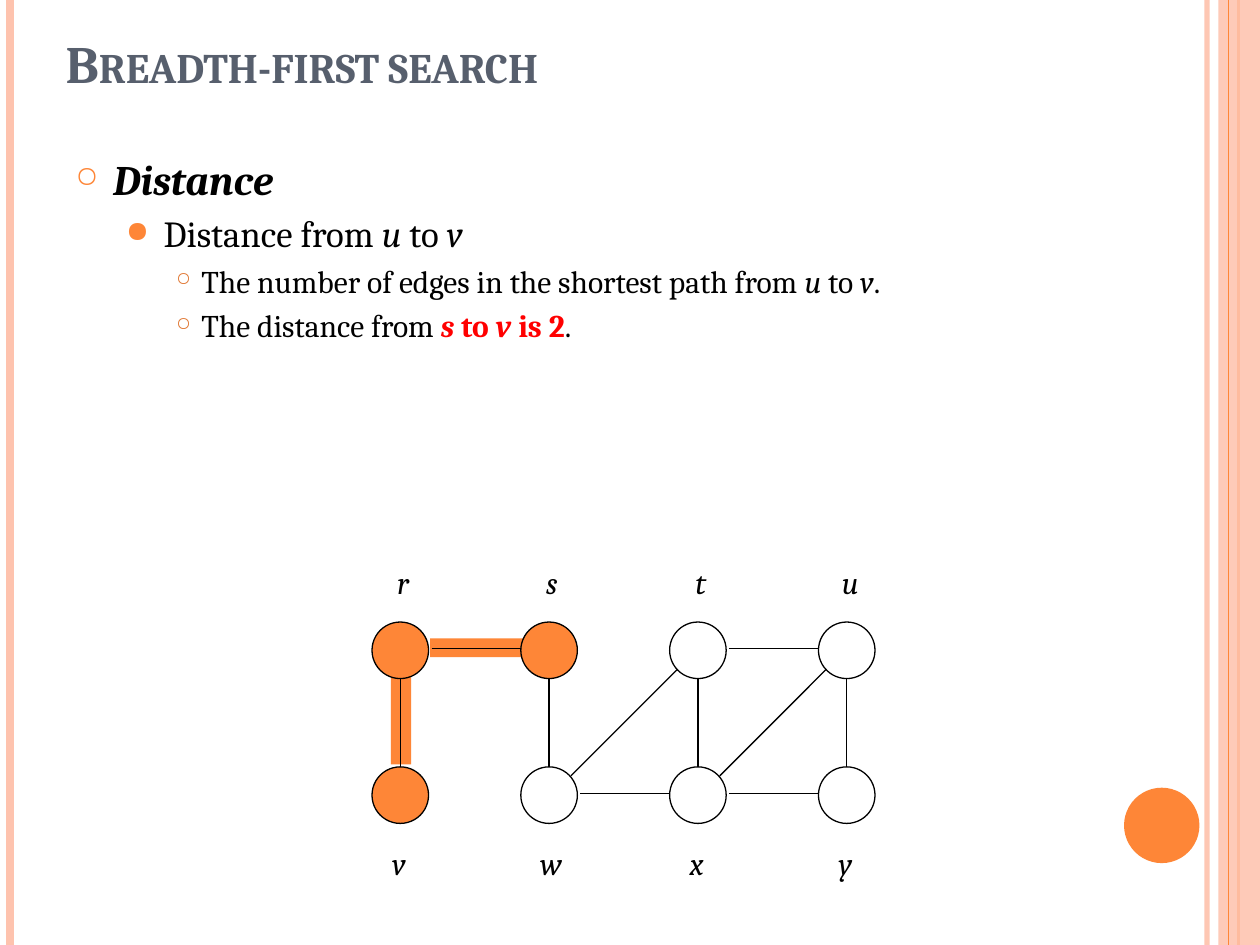
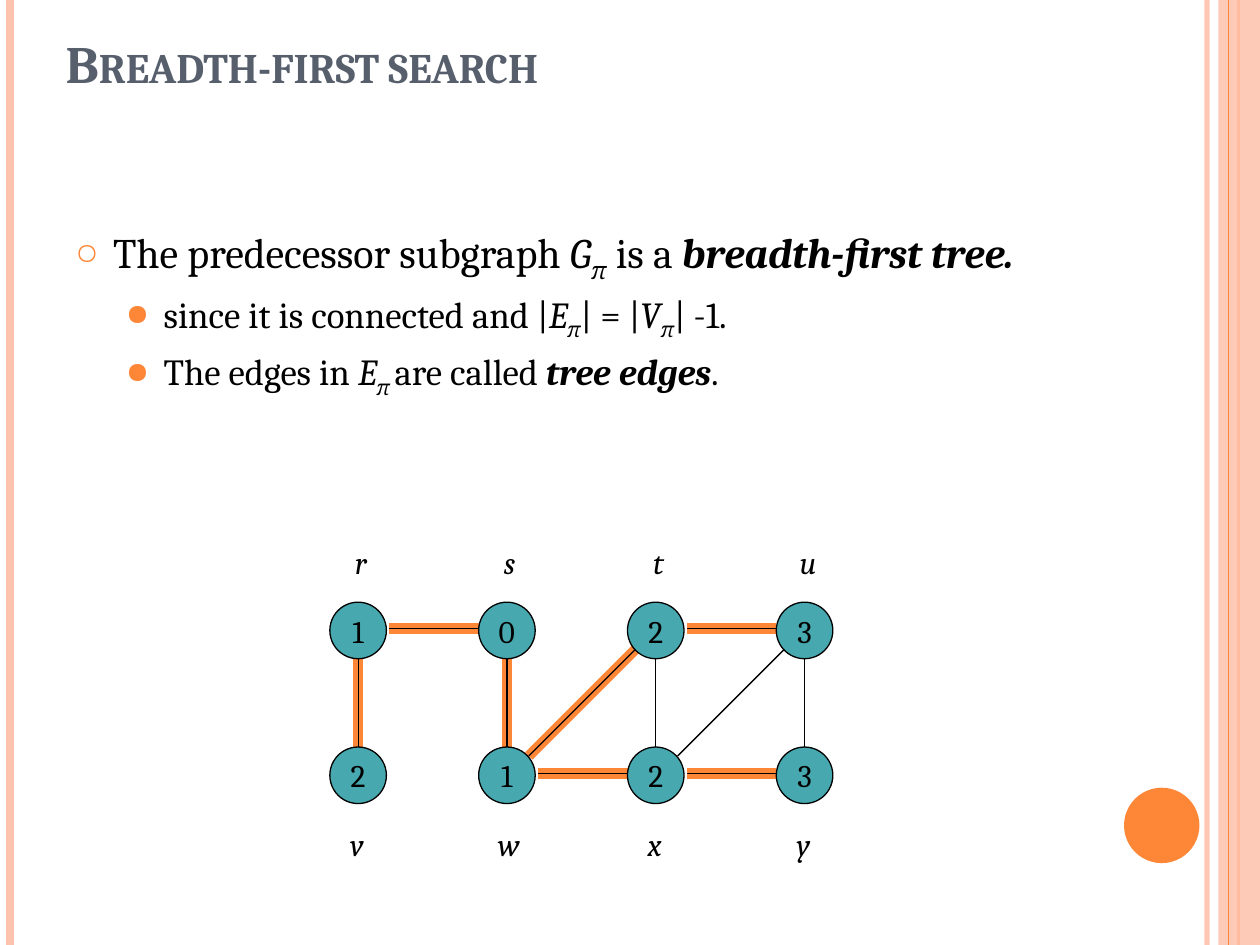
from lxml.etree import SubElement
from pptx import Presentation
from pptx.dml.color import RGBColor
from pptx.enum.shapes import MSO_CONNECTOR, MSO_SHAPE
from pptx.enum.text import MSO_ANCHOR, MSO_AUTO_SIZE, PP_ALIGN
from pptx.oxml.ns import qn
from pptx.util import Cm, Pt

ORANGE, PEACH, SLATE, TEAL = "FE8637", "FEC3AE", "575F6D", "47A8AF"
BLACK, RED, RUST = "000000", "FF0000", "E07631"
FONT = "Cambria"
WIDE, HIGH = 25.4, 19.05
STEP, DROP, NODE = 3.0, 2.92, 1.14
LEVELS = [
    (24, 0.76, 0.76, "○", ORANGE, 70),
    (21, 1.78, 0.76, "●", ORANGE, 80),
    (18, 2.54, 0.51, "○", RUST, 60),
]
SPOTS = {name: (col, row) for row, names in enumerate(("rstu", "vwxy"))
         for col, name in enumerate(names)}
EDGES = ["rv", "rs", "sw", "wx", "wt", "tx", "tu", "xu", "xy", "uy"]
TREE = ["rv", "rs", "sw", "wx", "wt", "tu", "xy"]


def tint(code):
    return RGBColor.from_string(code)


def ends(edge):
    (col, row), (col2, row2) = SPOTS[edge[0]], SPOTS[edge[1]]
    if row == row2:
        y = row * DROP + 0.53
        return col * STEP + 1.2, y, col2 * STEP, y
    if col == col2:
        x = col * STEP + NODE / 2
        return x, DROP, x, NODE
    return col * STEP + 1.01, 3.1, col2 * STEP + 0.16, 0.95


class Deck:
    def __init__(self):
        self.file = Presentation()
        self.file.slide_width, self.file.slide_height = Cm(WIDE), Cm(HIGH)
        self.base = self.file.slide_layouts[5]
        self.slide = None

    def start(self, text):
        first = self.slide is None
        self.slide = self.file.slides.add_slide(self.base)
        if first:
            self.frame()
        title = self.slide.shapes.title
        title.left, title.top = Cm(1.07), Cm(0.2)
        title.width, title.height = Cm(20.75), Cm(1.83)
        frame = title.text_frame
        frame.auto_size = MSO_AUTO_SIZE.NONE
        frame.word_wrap = True
        frame.vertical_anchor = MSO_ANCHOR.BOTTOM
        frame.paragraphs[0].alignment = PP_ALIGN.LEFT
        run = self.run(frame.paragraphs[0], text, 30, "b", SLATE)
        run.font._element.set("cap", "small")

    def frame(self):
        parts = [
            self.line((24.33, 0, 24.33, HIGH), PEACH, 3, 93),
            self.line((0.2, 0, 0.2, HIGH), PEACH, 4.5),
            self.line((24.97, 0, 24.97, HIGH), ORANGE, 1.5),
            self.shape(MSO_SHAPE.RECTANGLE, (24.56, 0, 0.84, HIGH), PEACH, clear=87),
            self.line((24.77, 0, 24.77, HIGH), ORANGE, 0.75),
            self.shape(MSO_SHAPE.OVAL, (22.66, 15.88, 1.52, 1.52), ORANGE),
        ]
        for mark, part in enumerate(parts, 101):
            part.element.xpath(".//p:cNvPr")[0].set("id", str(mark))
            self.base.shapes.element.append(part.element)

    def fade(self, item, share):
        for color in item.element.spPr.iter(qn("a:srgbClr")):
            SubElement(color, qn("a:alpha"), val=str(share * 1000))

    def line(self, points, color, width, clear=100):
        line = self.slide.shapes.add_connector(
            MSO_CONNECTOR.STRAIGHT, *(Cm(point) for point in points))
        line.line.color.rgb = tint(color)
        line.line.width = Pt(width)
        SubElement(line.element.spPr, qn("a:effectLst"))
        if clear < 100:
            self.fade(line, clear)
        return line

    def shape(self, kind, box, fill=None, edge=None, clear=100):
        shape = self.slide.shapes.add_shape(kind, *(Cm(side) for side in box))
        shape.shadow.inherit = False
        if fill:
            shape.fill.solid()
            shape.fill.fore_color.rgb = tint(fill)
        else:
            shape.fill.background()
        if edge:
            shape.line.color.rgb = tint(edge)
            shape.line.width = Pt(0.75)
        else:
            shape.line.fill.background()
        if clear < 100:
            self.fade(shape, clear)
        return shape

    def run(self, para, text, size, style="", color=BLACK):
        run = para.add_run()
        run.text = text
        font = run.font
        font.name, font.size = FONT, Pt(size)
        font.bold, font.italic = "b" in style, "i" in style
        font.color.rgb = tint(RED if "r" in style else color)
        if "s" in style:
            font._element.set("baseline", "-25000")
        return run

    def word(self, shape, text, style=""):
        frame = shape.text_frame
        frame.word_wrap = False
        frame.vertical_anchor = MSO_ANCHOR.MIDDLE
        frame.paragraphs[0].alignment = PP_ALIGN.CENTER
        self.run(frame.paragraphs[0], text, 18, style)

    def bullet(self, para, level, first):
        size, left, hang, sign, color, share = LEVELS[level]
        para.level = level
        props = para._p.get_or_add_pPr()
        props.set("marL", str(Cm(left)))
        props.set("indent", str(-Cm(hang)))
        if not first:
            space = SubElement(props, qn("a:spcBef"))
            SubElement(space, qn("a:spcPct"), val="20000")
        SubElement(SubElement(props, qn("a:buClr")), qn("a:srgbClr"), val=color)
        SubElement(props, qn("a:buSzPct"), val=str(share * 1000))
        SubElement(props, qn("a:buChar"), char=sign)
        return size

    def body(self, box, items):
        frame = self.slide.shapes.add_textbox(*(Cm(side) for side in box)).text_frame
        frame.word_wrap = True
        for place, (level, runs) in enumerate(items):
            para = frame.add_paragraph() if place else frame.paragraphs[0]
            size = self.bullet(para, level, place == 0)
            for text, style in runs:
                self.run(para, text, size, style)

    def graph(self, left, top, fills, counts={}, bold=(), bands=()):
        def link(edge, color, width):
            x, y, x2, y2 = ends(edge)
            self.line((left + x, top + y, left + x2, top + y2), color, width)

        for x, y, wide, high in bands:
            self.shape(MSO_SHAPE.RECTANGLE, (left + x, top + y, wide, high), ORANGE)
        for edge in bold:
            link(edge, ORANGE, 6)
        for name, (col, row) in SPOTS.items():
            x, y = left + col * STEP, top + row * DROP
            node = self.shape(MSO_SHAPE.OVAL, (x, y, NODE, NODE), fills.get(name), BLACK)
            if name in counts:
                self.word(node, counts[name])
            shift, level = ((0.22, -1.22), (0.14, 4.46))[row]
            label = self.slide.shapes.add_textbox(
                Cm(x + shift), Cm(top + level), Cm(0.81), Cm(0.81))
            self.word(label, name, "i")
        for edge in EDGES:
            link(edge, BLACK, 0.75)


def main():
    deck = Deck()
    title = "Breadth-first search"

    deck.start(title)
    deck.body((1.27, 2.97, 20.75, 15), [
        (0, [("Distance", "bi")]),
        (1, [("Distance from ", ""), ("u", "i"), (" to ", ""), ("v", "i")]),
        (2, [("The number of edges in the shortest path from ", ""), ("u", "i"),
             (" to ", ""), ("v", "i"), (".", "")]),
        (2, [("The distance from ", ""), ("s", "bir"), (" to ", "br"),
             ("v", "bir"), (" is 2", "br"), (".", "")]),
    ])
    deck.graph(7.5, 12.54, dict.fromkeys("rsv", ORANGE),
               bands=[(0.38, 1.09, 0.41, 1.78), (1.17, 0.33, 1.88, 0.38)])

    deck.start(title)
    deck.body((1.27, 4.45, 23.62, 12.57), [
        (0, [("The predecessor subgraph ", ""), ("G", "i"), ("π", "is"),
             (" is a ", ""), ("breadth-first tree.", "bi")]),
        (1, [("since it is connected and |", ""), ("E", "i"), ("π", "is"),
             ("| = |", ""), ("V", "i"), ("π", "is"), ("| -1.", "")]),
        (1, [("The edges in ", ""), ("E", "i"), ("π ", "is"), ("are called ", ""),
             ("tree edges", "bi"), (".", "")]),
    ])
    deck.graph(6.65, 12.14, dict.fromkeys(SPOTS, TEAL),
               counts=dict(zip(SPOTS, "10232123")), bold=TREE)

    deck.file.save("out.pptx")


if __name__ == "__main__":
    main()
